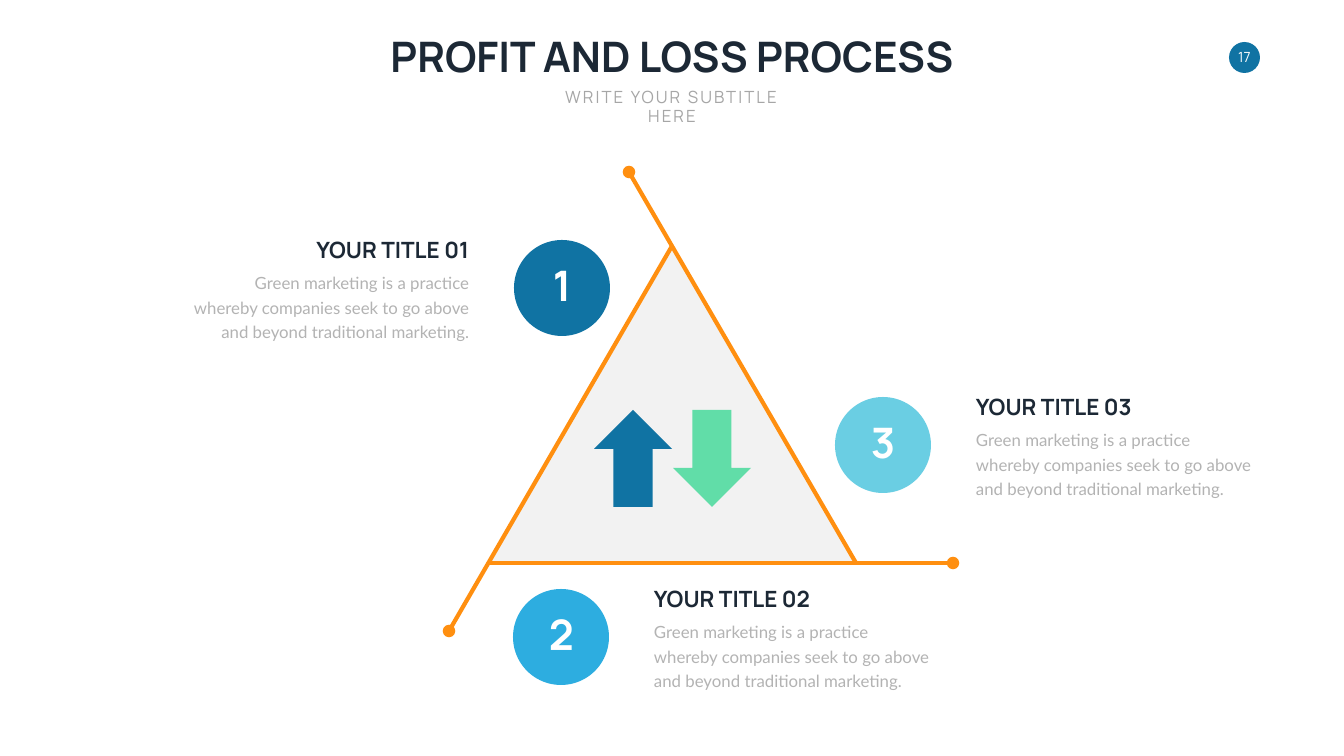
import pptx
import pptx.util
import pptx.dml.color
import pptx.enum.shapes
import pptx.enum.text
import pptx.oxml
import pptx.oxml.ns

SCALE = 914400 / 50.4
COLORS = {
    "ink": "1C2835", "subtitle": "A6A6A6", "body": "B3B3B3", "white": "FFFFFF",
    "panel": "F2F2F2", "orange": "FF8F10", "blue": "1073A3", "sky": "2DADE0",
    "aqua": "6ACEE3", "green": "61DDA8",
}
SHAPES = pptx.enum.shapes.MSO_SHAPE
ALIGN = pptx.enum.text.PP_ALIGN
ANCHOR = pptx.enum.text.MSO_ANCHOR
HEADING = {"size": 32, "bold": True}
NUMBER = {"size": 60, "bold": True}
BODY = {"size": 24, "name": "Lato"}
BODY_TEXT = ("Green marketing is a practice whereby companies seek to go above "
             "and beyond traditional marketing.")


def emu(*pixels):
    return [round(value * SCALE) for value in pixels]


def rgb(name):
    return pptx.dml.color.RGBColor.from_string(COLORS[name])


def add_text(page, box, text, color, font, align=ALIGN.CENTER, anchor=ANCHOR.TOP,
             wrap=False, line=0.9, inset=None, tracking=None):
    frame = page.shapes.add_textbox(*emu(*box)).text_frame
    frame.word_wrap = wrap
    frame.vertical_anchor = anchor
    if inset is not None:
        for side in ("left", "top", "right", "bottom"):
            setattr(frame, f"margin_{side}", inset)
    para = frame.paragraphs[0]
    para.alignment = align
    para.line_spacing = line
    span = para.add_run()
    span.text = text
    for key, value in {"name": "Manrope", **font}.items():
        setattr(span.font, key, pptx.util.Pt(value) if key == "size" else value)
    span.font.color.rgb = rgb(color)
    if tracking:
        span.font._element.set("spc", str(tracking * 100))


def add_filled(page, kind, box, color):
    shape = page.shapes.add_shape(kind, *emu(*box))
    shape.shadow.inherit = False
    shape.fill.solid()
    shape.fill.fore_color.rgb = rgb(color)
    shape.line.fill.background()


def add_dotted_line(page, start, end):
    line = page.shapes.add_connector(
        pptx.enum.shapes.MSO_CONNECTOR.STRAIGHT, *emu(*start, *end))
    line.line.color.rgb = rgb("orange")
    line.line.width = pptx.util.Pt(6)
    outline = line.line._get_or_add_ln()
    outline.append(pptx.oxml.parse_xml(
        f'<a:headEnd {pptx.oxml.ns.nsdecls("a")} type="oval"/>'))
    line._element.spPr.append(pptx.oxml.parse_xml(
        f'<a:effectLst {pptx.oxml.ns.nsdecls("a")}/>'))


def add_page_number(page, left, top, size, number):
    add_filled(page, SHAPES.OVAL, (left, top, size, size), "blue")
    add_text(page, (left + 5, top + 7, size - 10, size - 14), number, "white",
             {"size": 20}, anchor=ANCHOR.MIDDLE, inset=0)


def add_header(page, left, top, width):
    add_text(page, (left, top, width, 56), "PROFIT AND LOSS PROCESS", "ink", NUMBER)
    add_text(page, (left + (width - 274) / 2, top + 53, 274, 25),
             "WRITE YOUR SUBTITLE HERE", "subtitle", {"size": 24}, wrap=True, tracking=3)


def add_triangle(page, left, top, width, height):
    right, bottom, middle = left + width, top + height, left + width / 2
    add_filled(page, SHAPES.ISOSCELES_TRIANGLE, (left, top, width, height), "panel")
    add_dotted_line(page, (middle - 43, top - 74), (right, bottom))
    add_dotted_line(page, (right + 97, bottom), (left, bottom))
    add_dotted_line(page, (left - 39, bottom + 68), (middle, top))


def add_item(page, left, top, number, color, mirrored=False):
    width, text_width, title_width, circle = 425, 289, 167, 96
    text_left = left if mirrored else left + width - text_width
    title_left = text_left + text_width - title_width if mirrored else text_left
    circle_left = left + width - circle if mirrored else left
    align = ALIGN.RIGHT if mirrored else ALIGN.LEFT
    add_text(page, (title_left, top, title_width, 32), f"YOUR TITLE 0{number}",
             "ink", HEADING, align, ANCHOR.BOTTOM)
    add_text(page, (text_left, top + 32, text_width, 77), BODY_TEXT, "body", BODY,
             align, wrap=True, line=pptx.util.Pt(35))
    add_filled(page, SHAPES.OVAL, (circle_left, top + 6, circle, circle), color)
    add_text(page, (circle_left + 31, top + 26, 34, 56), str(number), "white", NUMBER,
             anchor=ANCHOR.MIDDLE)


def add_arrows(page, left, top, width, height):
    for index, (kind, color) in enumerate(
            [(SHAPES.UP_ARROW, "blue"), (SHAPES.DOWN_ARROW, "green")]):
        add_filled(page, kind, (left + index * (width + 1), top, width, height), color)


deck = pptx.Presentation()
deck.slide_width, deck.slide_height = emu(1344, 756)
page = deck.slides.add_slide(deck.slide_layouts[6])
add_page_number(page, 1229, 42, 31, "17")
add_header(page, 382, 34, 580)
add_triangle(page, 488, 246, 368, 317)
add_item(page, 513, 583, 2, "sky")
add_item(page, 835, 391, 3, "aqua")
add_item(page, 185, 234, 1, "blue", mirrored=True)
add_arrows(page, 594, 410, 78, 97)
deck.save("out.pptx")
